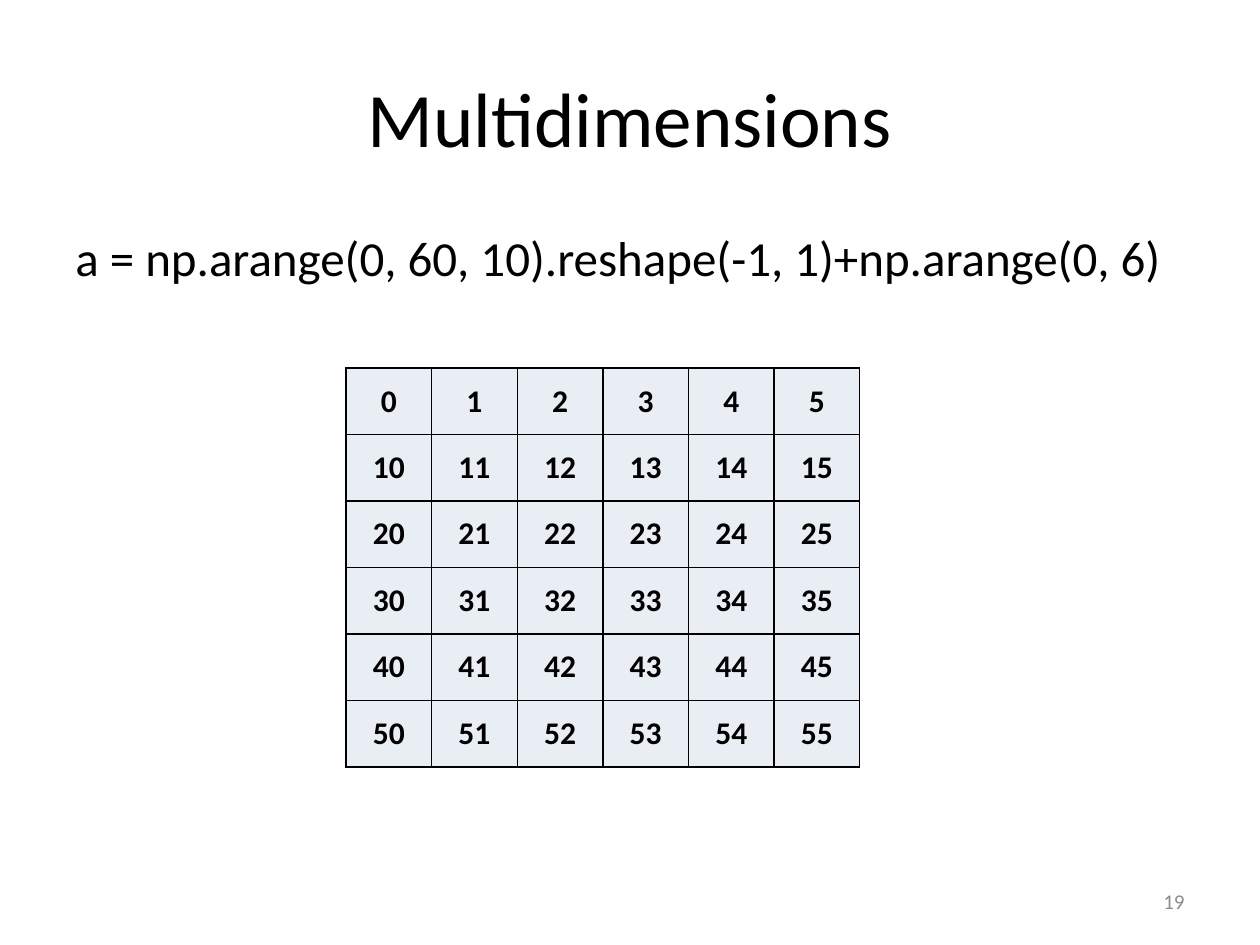
import dataclasses

import pptx
import pptx.dml.color
import pptx.enum.text
import pptx.oxml
import pptx.oxml.ns
import pptx.text.text
import pptx.util

RGBColor = pptx.dml.color.RGBColor
Align = pptx.enum.text.PP_ALIGN
Anchor = pptx.enum.text.MSO_ANCHOR

PIXEL = 914400 // 126
FONT = "Calibri"
BLACK = RGBColor(0x00, 0x00, 0x00)
GREY = RGBColor(0x8C, 0x8C, 0x8C)
PALE = RGBColor(0xE9, 0xED, 0xF4)
COUNT = 6


@dataclasses.dataclass(frozen=True)
class Label:
    text: str
    box: tuple[int, int, int, int]
    size: int
    align: Align = Align.LEFT
    anchor: Anchor = Anchor.MIDDLE
    color: RGBColor = BLACK


LABELS = [
    Label("Multidimensions", (63, 38, 1134, 157), 44, Align.CENTER),
    Label("a = np.arange(0, 60, 10).reshape(-1, 1)+np.arange(0, 6)",
          (63, 221, 1134, 624), 28, anchor=Anchor.TOP),
    Label("19", (903, 876, 294, 50), 12, Align.RIGHT, color=GREY),
]


def px(value: int) -> pptx.util.Emu:
    return pptx.util.Emu(value * PIXEL)


def write(frame: pptx.text.text.TextFrame, text: str, *, size: int,
          align: Align, color: RGBColor = BLACK, bold: bool = False) -> None:
    para = frame.paragraphs[0]
    para.alignment = align
    run = para.add_run()
    run.text = text
    run.font.name = FONT
    run.font.size = pptx.util.Pt(size)
    run.font.bold = bold
    run.font.color.rgb = color


def place(slide, label: Label) -> None:
    frame = slide.shapes.add_textbox(*map(px, label.box)).text_frame
    frame.word_wrap = True
    frame.vertical_anchor = label.anchor
    write(frame, label.text, size=label.size, align=label.align, color=label.color)


def border(cell, width: int = 12700) -> None:
    props = cell._tc.get_or_add_tcPr()
    space = pptx.oxml.ns.nsdecls("a")
    for spot, side in enumerate(("lnL", "lnR", "lnT", "lnB")):
        props.insert(spot, pptx.oxml.parse_xml(
            f'<a:{side} {space} w="{width}"><a:solidFill>'
            f'<a:srgbClr val="{BLACK}"/></a:solidFill></a:{side}>'))


def grid(slide) -> None:
    box = map(px, (346, 368, 514, 399))
    table = slide.shapes.add_table(COUNT, COUNT, *box).table
    table.first_row = table.horz_banding = False
    for row in range(COUNT):
        for col in range(COUNT):
            cell = table.cell(row, col)
            cell.vertical_anchor = Anchor.MIDDLE
            cell.fill.solid()
            cell.fill.fore_color.rgb = PALE
            write(cell.text_frame, str(10 * row + col), size=18,
                  align=Align.CENTER, bold=True)
            border(cell)


def main() -> None:
    deck = pptx.Presentation()
    deck.slide_width, deck.slide_height = px(1260), px(945)
    slide = deck.slides.add_slide(deck.slide_layouts[6])
    # Title, code line and page number
    for label in LABELS:
        place(slide, label)
    # Table of sums
    grid(slide)
    deck.save("out.pptx")


main()
